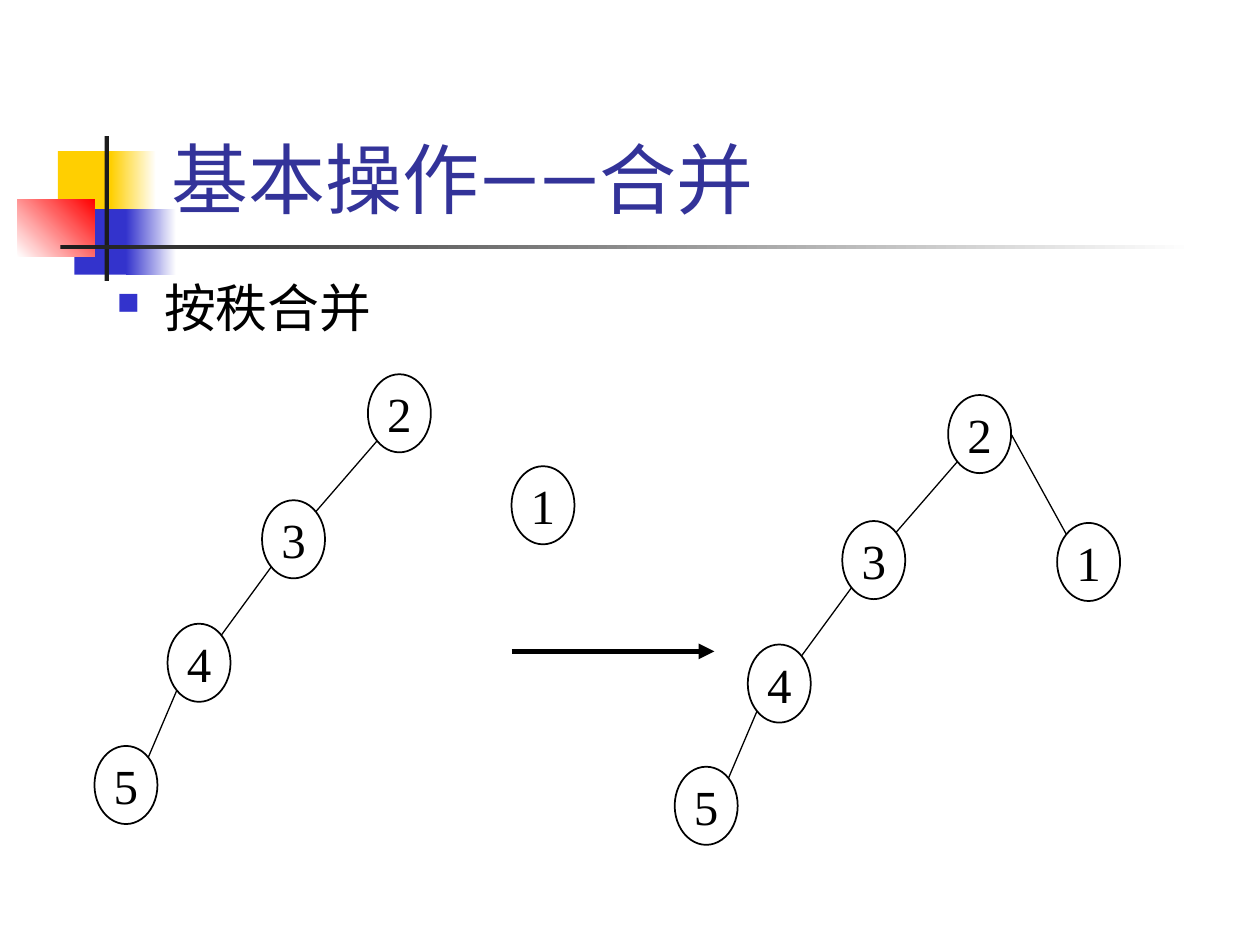
import dataclasses

import lxml.etree
import pptx
import pptx.dml.color
import pptx.enum.shapes
import pptx.enum.text
import pptx.oxml.ns
import pptx.util

SLIDE_WIDTH = pptx.util.Inches(10)
SLIDE_HEIGHT = pptx.util.Inches(7.5)
COLUMN = SLIDE_WIDTH / 100
ROW = SLIDE_HEIGHT / 75

NODE_COLUMNS, NODE_ROWS = 5, 6.2
DIAGONAL = 0.5 ** 0.5  # where an ellipse meets its 45-degree diagonal
BLACK, WHITE, BLUE, YELLOW, RED, CHARCOAL = (
    "000000", "FFFFFF", "3333CC", "FFCF01", "FF0000", "1C1C1C")


@dataclasses.dataclass(frozen=True)
class Band:
    column: float
    row: float
    columns: float
    rows: float
    colours: tuple[str, ...]
    angle: float = 0


@dataclasses.dataclass(frozen=True)
class Node:
    label: str
    column: float
    row: float

    def rim(self, across: float, down: float) -> tuple[float, float]:
        """Point on the outline; across and down run from -1 to 1 from the centre."""
        return (self.column + NODE_COLUMNS / 2 * (1 + across),
                self.row + NODE_ROWS / 2 * (1 + down))


BANDS = (
    Band(4.6, 12, 4.8, 5.2, (YELLOW,)),
    Band(8.8, 12, 3.6, 5.2, (YELLOW, WHITE)),
    Band(5.9, 16.6, 4.6, 5.2, (BLUE,)),
    Band(10, 16.6, 4, 5.2, (BLUE, WHITE)),
    Band(1.4, 15.8, 6.1, 4.6, (WHITE, RED), 45),
    Band(8.3, 10.8, 0.35, 11.5, (CHARCOAL,)),
    Band(4.8, 19.45, 90, 0.35, (CHARCOAL, WHITE)),
)
CHAIN = (Node("2", 29.2, 29.7), Node("3", 20.8, 39.7),
         Node("4", 13.3, 49.5), Node("5", 7.5, 59.2))
MERGED_SHIFT = (46.05, 1.65)
SINGLE_NODE = Node("1", 40.6, 37)
MERGED_CHILD = Node("1", 83.9, 41.5)


def rgb(colour: str) -> pptx.dml.color.RGBColor:
    return pptx.dml.color.RGBColor.from_string(colour)


def box(column: float, row: float, columns: float, rows: float) -> tuple[int, ...]:
    return (round(column * COLUMN), round(row * ROW),
            round(columns * COLUMN), round(rows * ROW))


def add_xml(parent, tag: str, **attributes: str) -> None:
    lxml.etree.SubElement(parent, pptx.oxml.ns.qn(tag), attributes)


def style_run(paragraph, size: float, font_name: str, colour: str) -> None:
    for run in paragraph.runs:
        run.font.size = pptx.util.Pt(size)
        run.font.name = font_name
        run.font.color.rgb = rgb(colour)
        add_xml(run.font._element, "a:ea", typeface=font_name)


def draw_band(slide, band: Band) -> None:
    shape = slide.shapes.add_shape(
        pptx.enum.shapes.MSO_SHAPE.RECTANGLE,
        *box(band.column, band.row, band.columns, band.rows))
    shape.shadow.inherit = False
    shape.line.fill.background()
    if len(band.colours) == 1:
        shape.fill.solid()
        shape.fill.fore_color.rgb = rgb(band.colours[0])
        return
    shape.fill.gradient()
    shape.fill.gradient_angle = band.angle
    for stop, colour in zip(shape.fill.gradient_stops, band.colours):
        stop.color.rgb = rgb(colour)


def draw_text(slide, text: str, place: tuple[int, ...], size: float, colour: str,
              anchor: pptx.enum.text.MSO_ANCHOR):
    frame = slide.shapes.add_textbox(*place).text_frame
    frame.word_wrap = True
    frame.vertical_anchor = anchor
    frame.text = text
    style_run(frame.paragraphs[0], size, "Roboto", colour)
    return frame.paragraphs[0]


def add_square_bullet(paragraph) -> None:
    paragraph.space_before = pptx.util.Pt(8)
    properties = paragraph._p.get_or_add_pPr()
    indent = round(3.75 * COLUMN)
    properties.set("marL", str(indent))
    properties.set("indent", str(-indent))
    add_xml(properties, "a:buClr")
    add_xml(properties[-1], "a:srgbClr", val=BLUE)
    add_xml(properties, "a:buSzPct", val="60000")
    add_xml(properties, "a:buChar", char="■")


def draw_node(slide, node: Node) -> None:
    shape = slide.shapes.add_shape(
        pptx.enum.shapes.MSO_SHAPE.OVAL,
        *box(node.column, node.row, NODE_COLUMNS, NODE_ROWS))
    shape.shadow.inherit = False
    shape.fill.solid()
    shape.fill.fore_color.rgb = rgb(WHITE)
    shape.line.color.rgb = rgb(BLACK)
    shape.line.width = pptx.util.Pt(1)
    frame = shape.text_frame
    frame.word_wrap = False
    frame.vertical_anchor = pptx.enum.text.MSO_ANCHOR.MIDDLE
    frame.text = node.label
    frame.paragraphs[0].alignment = pptx.enum.text.PP_ALIGN.CENTER
    style_run(frame.paragraphs[0], 28, "Times New Roman", BLACK)


def draw_line(slide, start: tuple[float, float], end: tuple[float, float],
              width: float = 0.75, arrow: bool = False) -> None:
    line = slide.shapes.add_connector(
        pptx.enum.shapes.MSO_CONNECTOR.STRAIGHT, *box(*start, *end))
    line.line.color.rgb = rgb(BLACK)
    line.line.width = pptx.util.Pt(width)
    if arrow:
        add_xml(line.line._get_or_add_ln(), "a:tailEnd", type="triangle")
    add_xml(line._element.spPr, "a:effectLst")


def draw_chain(slide, chain: tuple[Node, ...]) -> None:
    for node in chain:
        draw_node(slide, node)
    for parent, child in zip(chain, chain[1:]):
        draw_line(slide, child.rim(DIAGONAL, -DIAGONAL),
                  parent.rim(-DIAGONAL, DIAGONAL))


def main() -> None:
    presentation = pptx.Presentation()
    presentation.slide_width = SLIDE_WIDTH
    presentation.slide_height = SLIDE_HEIGHT
    slide = presentation.slides.add_slide(presentation.slide_layouts[6])

    for band in BANDS:
        draw_band(slide, band)
    draw_text(slide, "基本操作——合并", box(12.6, 2.3, 85.2, 16), 44, "333399",
              pptx.enum.text.MSO_ANCHOR.BOTTOM)
    add_square_bullet(draw_text(
        slide, "按秩合并", box(8.3, 21.4, 85, 6.2), 29.6, BLACK,
        pptx.enum.text.MSO_ANCHOR.TOP))

    draw_chain(slide, CHAIN)
    draw_node(slide, SINGLE_NODE)
    draw_line(slide, (40.6, 51.7), (56.7, 51.7), width=3, arrow=True)

    right, down = MERGED_SHIFT
    merged = tuple(Node(node.label, node.column + right, node.row + down)
                   for node in CHAIN)
    draw_chain(slide, merged)
    draw_node(slide, MERGED_CHILD)
    draw_line(slide, MERGED_CHILD.rim(-DIAGONAL, -DIAGONAL), merged[0].rim(1, 0))

    presentation.save("out.pptx")


if __name__ == "__main__":
    main()
